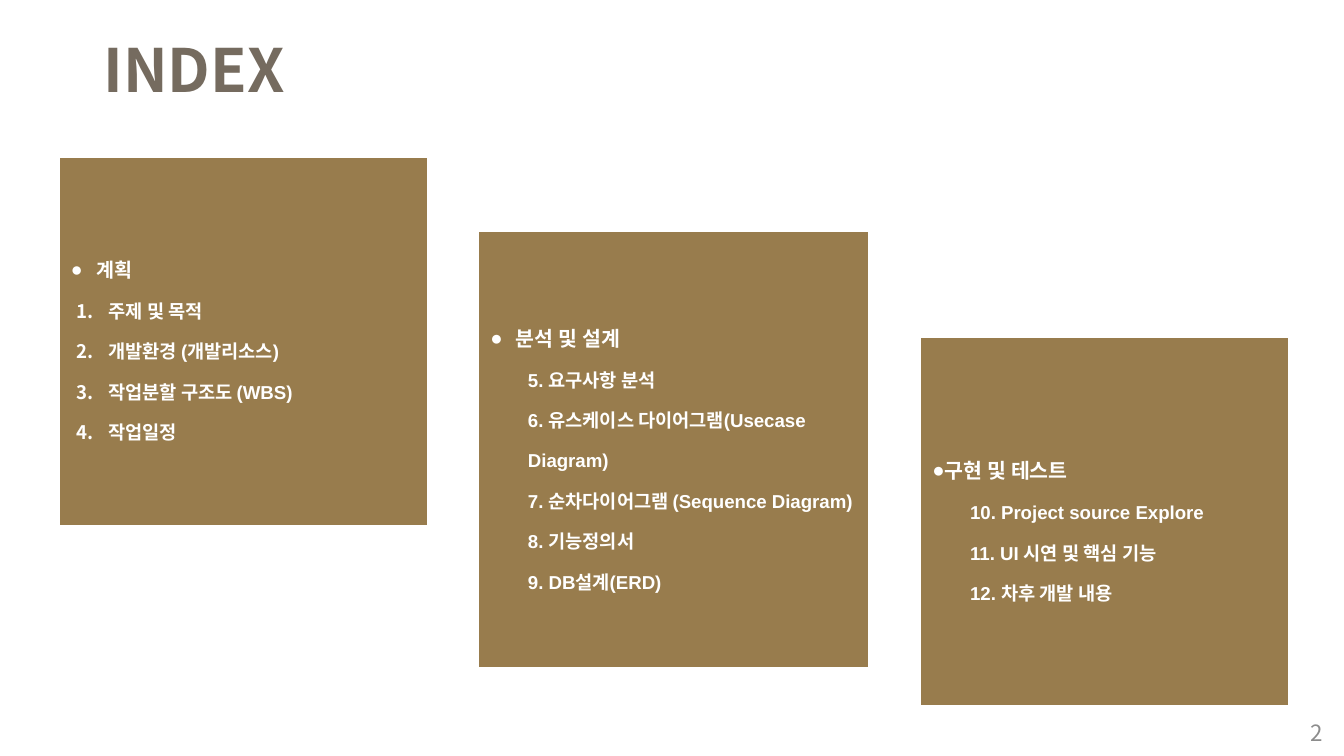
from dataclasses import dataclass

from lxml.etree import SubElement
from pptx import Presentation
from pptx.dml.color import RGBColor
from pptx.enum.shapes import MSO_SHAPE
from pptx.enum.text import MSO_ANCHOR, PP_ALIGN
from pptx.oxml.ns import qn
from pptx.util import Inches, Pt


@dataclass(frozen=True)
class Theme:
    card: str = "987C4D"
    white: str = "FFFFFF"
    title: str = "756B5F"
    number: str = "8C8C8C"
    latin: str = "Arial"
    korean: str = "Noto Sans CJK KR"
    title_size: float = 32
    item_size: float = 10
    number_size: float = 12
    title_spacing: float = 0.96
    list_spacing: float = 1.8
    item_indent: float = 0.28
    number_hanging: float = 0.24
    border: float = 2


class IndexSlide:
    def __init__(self, presentation, theme):
        self.theme = theme
        self.slide = presentation.slides.add_slide(presentation.slide_layouts[5])

    def place(self, shape, box):
        shape.left, shape.top, shape.width, shape.height = map(Inches, box)

    def style(self, paragraph, size, color, name, bold=False):
        font = paragraph.font
        font.size, font.bold, font.name = Pt(size), bold, name
        font.color.rgb = RGBColor.from_string(color)
        properties = paragraph._p.get_or_add_pPr().find(qn("a:defRPr"))
        SubElement(properties, qn("a:ea"), typeface=self.theme.korean)

    def bullet(self, paragraph, margin, hanging, typeface, kind, **values):
        properties = self.indent(paragraph, margin, hanging)
        SubElement(properties, qn("a:buFont"), typeface=typeface)
        SubElement(properties, qn(kind), **values)

    def indent(self, paragraph, margin, hanging=0):
        properties = paragraph._p.get_or_add_pPr()
        properties.set("marL", str(Inches(margin)))
        properties.set("indent", str(Inches(-hanging)))
        return properties

    def title(self, text, box):
        shape = self.slide.shapes.title
        self.place(shape, box)
        frame = shape.text_frame
        frame.text, frame.vertical_anchor = text, MSO_ANCHOR.TOP
        paragraph = frame.paragraphs[0]
        paragraph.alignment = PP_ALIGN.LEFT
        paragraph.line_spacing = self.theme.title_spacing
        self.style(paragraph, self.theme.title_size, self.theme.title, self.theme.korean, True)

    def page_number(self, text, box):
        frame = self.slide.shapes.add_textbox(*map(Inches, box)).text_frame
        frame.text, frame.word_wrap = text, True
        frame.vertical_anchor = MSO_ANCHOR.MIDDLE
        paragraph = frame.paragraphs[0]
        paragraph.alignment = PP_ALIGN.RIGHT
        self.style(paragraph, self.theme.number_size, self.theme.number, self.theme.korean)

    def card(self, box, heading, items, heading_size=11, heading_indent=0.19, numbered=False):
        theme = self.theme
        shape = self.slide.shapes.add_shape(MSO_SHAPE.RECTANGLE, *map(Inches, box))
        shape.shadow.inherit = False
        shape.fill.solid()
        shape.fill.fore_color.rgb = RGBColor.from_string(theme.card)
        shape.line.color.rgb = RGBColor.from_string(theme.white)
        shape.line.width = Pt(theme.border)
        frame = shape.text_frame
        frame.word_wrap, frame.vertical_anchor = True, MSO_ANCHOR.MIDDLE
        frame.text = "\n".join([heading, *items])
        for position, paragraph in enumerate(frame.paragraphs):
            paragraph.alignment = PP_ALIGN.LEFT
            paragraph.line_spacing = theme.list_spacing
            if position == 0:
                self.bullet(paragraph, heading_indent, heading_indent, theme.latin, "a:buChar", char="●")
            else:
                paragraph.level = 1
                if numbered:
                    self.bullet(
                        paragraph, theme.item_indent, theme.number_hanging,
                        theme.korean, "a:buAutoNum", type="arabicPeriod",
                    )
                else:
                    self.indent(paragraph, theme.item_indent)
            size = theme.item_size if position else heading_size
            self.style(paragraph, size, theme.white, theme.latin, True)


presentation = Presentation()
presentation.slide_width, presentation.slide_height = Inches(10), Inches(10 * 9 / 16)
index = IndexSlide(presentation, Theme())
index.title("INDEX", (0.67, 0.23, 2.05, 0.64))
index.page_number("2", (7.61, 5.3, 2.33, 0.3))
index.card(
    (0.43, 1.16, 2.76, 2.76),
    "계획",
    ["주제 및 목적", "개발환경 (개발리소스)", "작업분할 구조도 (WBS)", "작업일정"],
    heading_size=10.5,
    numbered=True,
)
index.card(
    (3.55, 1.71, 2.92, 3.27),
    "분석 및 설계",
    [
        "5. 요구사항 분석",
        "6. 유스케이스 다이어그램(Usecase Diagram)",
        "7. 순차다이어그램 (Sequence Diagram)",
        "8. 기능정의서",
        "9. DB설계(ERD)",
    ],
)
index.card(
    (6.84, 2.5, 2.76, 2.76),
    "구현 및 테스트",
    ["10. Project source Explore", "11. UI 시연 및 핵심 기능", "12. 차후 개발 내용"],
    heading_indent=0,
)
presentation.save("out.pptx")
